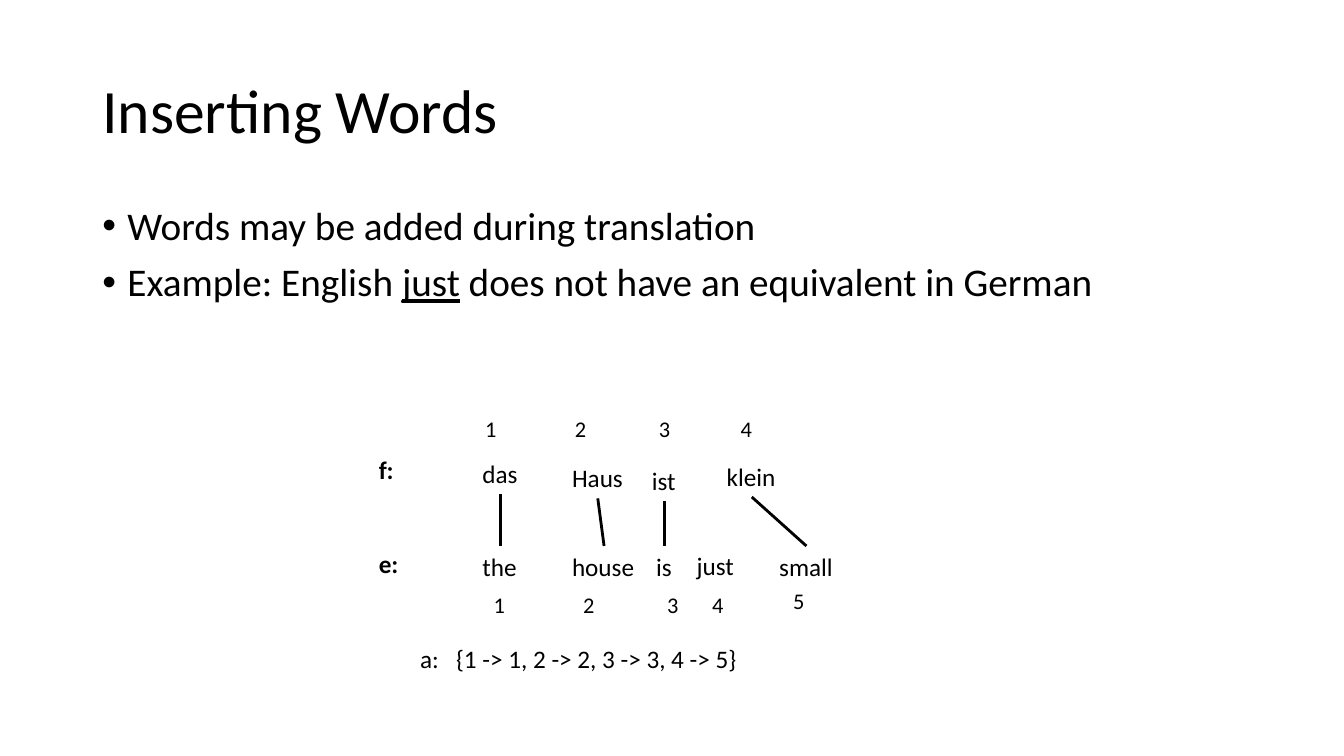
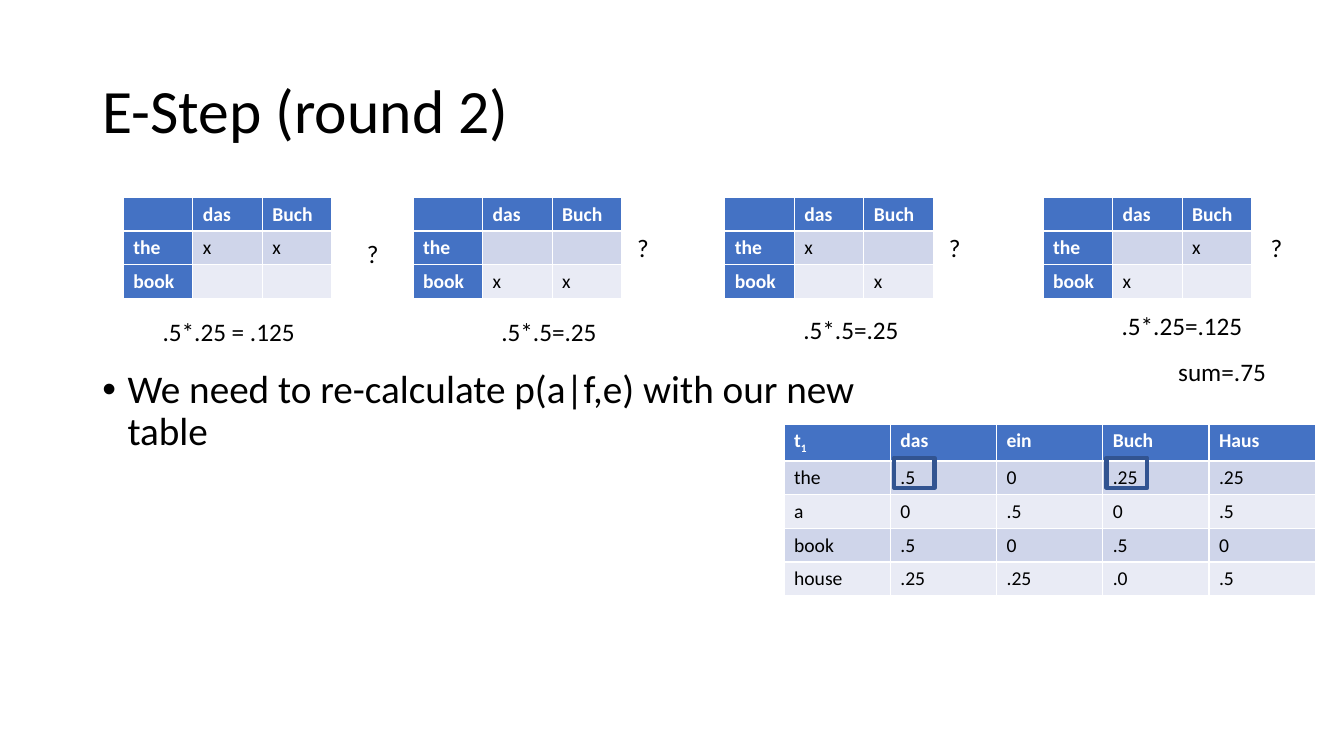
from dataclasses import dataclass

from lxml.etree import SubElement
from pptx import Presentation
from pptx.dml.color import RGBColor
from pptx.enum.shapes import MSO_CONNECTOR, MSO_SHAPE
from pptx.enum.text import MSO_ANCHOR, MSO_AUTO_SIZE, PP_ALIGN
from pptx.oxml.ns import qn
from pptx.util import Pt


@dataclass(frozen=True)
class Theme:
    face: str = "Calibri"
    ink: str = "000000"
    white: str = "FFFFFF"
    head: str = "4472C4"
    bands: tuple = ("CFD5EA", "E9EBF5")
    frame: str = "325491"
    title: int = 44
    body: int = 28
    label: int = 18
    index: int = 16
    cell: int = 14


LOOK = Theme()
TITLE = (66, 29, 828, 104)


def apply(item, **values):
    for name, value in values.items():
        setattr(item, name, value)


def place(shape, box):
    sides = ("left", "top", "width", "height")
    apply(shape, **{side: Pt(size) for side, size in zip(sides, box)})


def write(para, text, size, ink=LOOK.ink, **extra):
    run = para.add_run()
    run.text = text
    apply(run.font, name=LOOK.face, size=Pt(size), **extra)
    run.font.color.rgb = RGBColor.from_string(ink)
    return run


def start(deck, text):
    slide = deck.slides.add_slide(deck.slide_layouts[5])
    title = slide.shapes.title
    place(title, TITLE)
    frame = title.text_frame
    apply(frame, vertical_anchor=MSO_ANCHOR.MIDDLE, word_wrap=True,
          auto_size=MSO_AUTO_SIZE.NONE)
    para = frame.paragraphs[0]
    apply(para, alignment=PP_ALIGN.LEFT, line_spacing=0.9)
    write(para, text, LOOK.title)
    return slide


def bullets(slide, box, items):
    frame = slide.shapes.add_textbox(*map(Pt, box)).text_frame
    frame.word_wrap = True
    for pos, runs in enumerate(items):
        para = frame.add_paragraph() if pos else frame.paragraphs[0]
        apply(para, line_spacing=0.9, space_before=Pt(10 if pos else 0))
        props = para._p.get_or_add_pPr()
        props.set("marL", str(Pt(18)))
        props.set("indent", str(-Pt(18)))
        SubElement(props, qn("a:buFont"), typeface="Arial")
        SubElement(props, qn("a:buChar"), char="•")
        for text, extra in runs:
            write(para, text, LOOK.body, **extra)


def label(slide, left, top, width, text, size=LOOK.label, tab=0, **extra):
    box = map(Pt, (left, top, width, round(size * 1.22 + 7.2)))
    shape = slide.shapes.add_textbox(*box)
    frame = shape.text_frame
    apply(frame, word_wrap=False, auto_size=MSO_AUTO_SIZE.SHAPE_TO_FIT_TEXT)
    para = frame.paragraphs[0]
    if tab:
        stops = SubElement(para._p.get_or_add_pPr(), qn("a:tabLst"))
        SubElement(stops, qn("a:tab"), pos=str(Pt(tab)), algn="l")
    write(para, text, size, **extra)
    return shape


def link(slide, upper, lower):
    line = slide.shapes.add_connector(MSO_CONNECTOR.STRAIGHT, 0, 0, 0, 0)
    line.begin_connect(upper, 2)
    line.end_connect(lower, 0)
    line.line.width = Pt(2)
    line.line.color.rgb = RGBColor.from_string(LOOK.ink)
    SubElement(line._element.spPr, qn("a:effectLst"))


def align(slide, left, top):
    words = [
        ("das", 74, 31, 40), ("Haus", 138, 34, 51),
        ("ist", 195, 36, 32), ("klein", 248.5, 33, 50),
        ("the", 74, 97, 40), ("house", 138, 97, 60), ("is", 198, 97, 26),
        ("just", 227, 96.5, 41), ("small", 286, 97, 53),
    ]
    made = {text: label(slide, left + x, top + y, width, text)
            for text, x, y, width in words}
    pairs = [("das", "the"), ("Haus", "house"), ("ist", "is"),
             ("klein", "small")]
    for upper, lower in pairs:
        link(slide, made[upper], made[lower])
    rows = [
        [(76, 0), (140, 0), (200, 0), (258.5, 0)],
        [(82, 126), (146, 126), (206, 126), (238, 125.5), (296, 122.5)],
    ]
    for row in rows:
        for num, (x, y) in enumerate(row, 1):
            label(slide, left + x, top + y, 23, str(num), LOOK.index)
    label(slide, left, top + 28, 25, "f:", bold=True)
    label(slide, left, top + 95, 29, "e:", bold=True)
    label(slide, left + 29.5, top + 163, 244,
          "a:\t{1 -> 1, 2 -> 2, 3 -> 3, 4 -> 5}", tab=25.7)


def grid(slide, left, top, wide, rows, side=False):
    high = 24
    size = (wide * len(rows[0]), high * len(rows))
    shape = slide.shapes.add_table(
        len(rows), len(rows[0]), *map(Pt, (left, top, *size)))
    table = shape.table
    table.first_col = side
    for col in table.columns:
        col.width = Pt(wide)
    for y, row in enumerate(rows):
        table.rows[y].height = Pt(high)
        for x, text in enumerate(row):
            cell = table.cell(y, x)
            head = y == 0 or (side and x == 0)
            fill = LOOK.head if head else LOOK.bands[(y - 1) % 2]
            cell.fill.solid()
            cell.fill.fore_color.rgb = RGBColor.from_string(fill)
            para = cell.text_frame.paragraphs[0]
            if text:
                ink = LOOK.white if head else LOOK.ink
                write(para, text, LOOK.cell, ink, bold=head)
            else:
                SubElement(para._p, qn("a:endParaRPr"),
                           sz=str(LOOK.cell * 100))
    return table


def case(slide, left, top, marks, ask, total):
    rows = [("", "das", "Buch"), ("the", *marks[0]), ("book", *marks[1])]
    grid(slide, left, top, 49.7, rows, side=True)
    label(slide, left + ask[0], top + ask[1], 23, "?")
    x, y, width, text = total
    label(slide, left + x, top + y, width, text)


def probs(slide, left, top):
    wide = 75.9
    rows = [
        ("t", "das", "ein", "Buch", "Haus"),
        ("the", ".5", "0", ".25", ".25"),
        ("a", "0", ".5", "0", ".5"),
        ("book", ".5", "0", ".5", "0"),
        ("house", ".25", ".25", ".0", ".5"),
    ]
    table = grid(slide, left, top, wide, rows)
    para = table.cell(0, 0).text_frame.paragraphs[0]
    sub = write(para, "1", LOOK.cell, LOOK.white, bold=True)
    sub.font._element.set("baseline", "-25000")
    for col in (1, 3):
        box = (left + col * wide + 2.7, top + 24, 29, 21.6)
        mark = slide.shapes.add_shape(MSO_SHAPE.RECTANGLE, *map(Pt, box))
        mark.shadow.inherit = False
        mark.fill.background()
        mark.line.width = Pt(3)
        mark.line.color.rgb = RGBColor.from_string(LOOK.frame)


def insert(deck):
    slide = start(deck, "Inserting Words")
    bullets(slide, (66, 144, 828, 124), [
        [("Words may be added during translation", {})],
        [("Example: English ", {}), ("just", {"underline": True}),
         (" does not have an equivalent in German", {})],
    ])
    align(slide, 263.5, 293)


def expect(deck):
    slide = start(deck, "E-Step (round 2)")
    bullets(slide, (66, 260.6, 589, 238), [
        [("We need to re-calculate p(a|f,e) with our new table", {})],
    ])
    cases = [
        (88, ("xx", ("", "")), (167, 26), (21, 81.5, 110, ".5*.25 = .125")),
        (295, (("", ""), "xx"), (153, 21.5), (56, 81.5, 83.5, ".5*.5=.25")),
        (517.7, (("x", ""), ("", "x")), (153, 21.5),
         (49, 80, 83.5, ".5*.5=.25")),
        (745, (("", "x"), ("x", "")), (155.5, 21.5),
         (49, 77, 101.5, ".5*.25=.125")),
    ]
    for left, marks, ask, total in cases:
        case(slide, left, 141, marks, ask, total)
    label(slide, 834.5, 251, 78, "sum=.75")
    probs(slide, 560, 303)


def main():
    deck = Presentation()
    apply(deck, slide_width=Pt(960), slide_height=Pt(540))
    insert(deck)
    expect(deck)
    deck.save("out.pptx")


if __name__ == "__main__":
    main()
